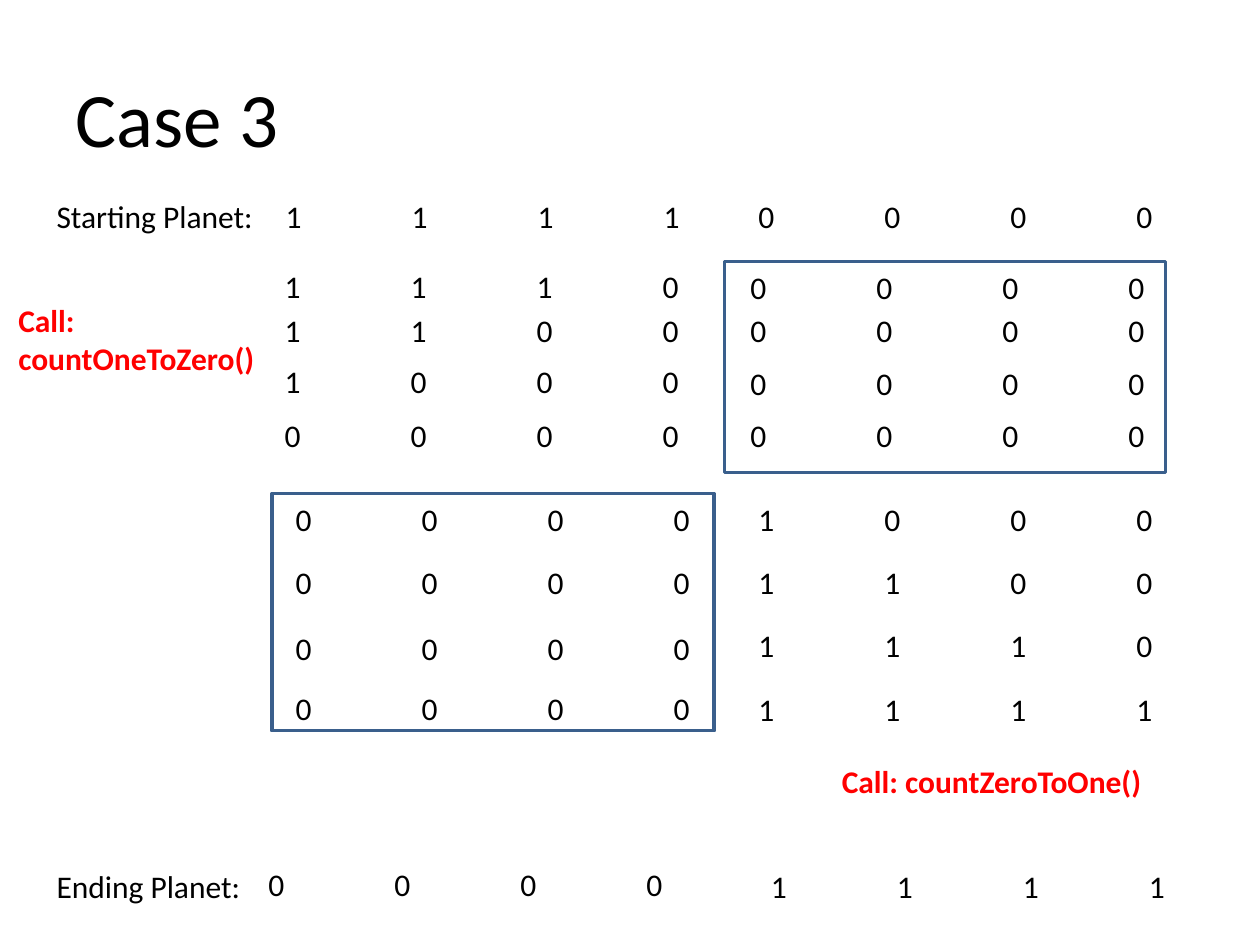
"""Build the Case 3 slide: planet bits changing from start to end."""
from lxml import etree
from pptx import Presentation
from pptx.dml.color import RGBColor
from pptx.enum.shapes import MSO_SHAPE
from pptx.enum.text import MSO_ANCHOR
from pptx.oxml.ns import qn
from pptx.util import Cm, Pt

RECT = MSO_SHAPE.RECTANGLE
TOP, MIDDLE = MSO_ANCHOR.TOP, MSO_ANCHOR.MIDDLE
COLORS = {"text": "000000", "call": "FF0000", "frame": "3A5F8C"}
FONT = "Calibri"
ROW_W, ROW_H = 9.73, 1.02
TAB_STEP = 2.54

TITLE = ("Case 3", 1.27, 0.76, 22.86, 3.18)
LABELS = [
    ("Starting Planet:", 0.89, 3.84, 5.08, ROW_H),
    ("Ending Planet:", 0.89, 17.35, 5.08, ROW_H),
]
CALLS = [
    ("Call: \ncountOneToZero()", 0.12, 5.94, 5.28, 1.8, True),
    ("Call: countZeroToOne()", 16.72, 15.24, 6.6, ROW_H, False),
]
BIT_GROUPS = [
    (5.51, [(3.84, "1111")]),
    (15.04, [(3.84, "0000")]),
    (5.49, [(5.26, "1110"), (6.15, "1100"), (7.17, "1000"), (8.26, "0000")]),
    (14.88, [(5.27, "0000"), (6.15, "0000"), (7.22, "0000"), (8.26, "0000")]),
    (5.71, [(9.96, "0000"), (11.23, "0000"), (12.55, "0000"), (13.77, "0000")]),
    (15.04, [(9.96, "1000"), (11.23, "1100"), (12.5, "1110"), (13.79, "1111")]),
    (5.16, [(17.32, "0000")]),
    (15.29, [(17.35, "1111")]),
]
FRAMES = [(14.61, 5.27, 8.89, 4.26), (5.48, 9.95, 8.92, 4.78)]


def add_text(slide, text, x, y, w, h, size=18, color="text", bold=False,
             anchor=TOP, wrap=True):
    tf = slide.shapes.add_textbox(Cm(x), Cm(y), Cm(w), Cm(h)).text_frame
    tf.word_wrap = wrap
    tf.vertical_anchor = anchor
    tf.text = text
    for p in tf.paragraphs:
        if "\t" in text:
            tabs = etree.SubElement(p._p.get_or_add_pPr(), qn("a:tabLst"))
            for i in range(1, text.count("\t") + 1):
                etree.SubElement(tabs, qn("a:tab"), pos=str(Cm(TAB_STEP * i)), algn="l")
        for r in p.runs:
            r.font.name = FONT
            r.font.size = Pt(size)
            r.font.bold = bold
            r.font.color.rgb = RGBColor.from_string(COLORS[color])


prs = Presentation()
prs.slide_width, prs.slide_height = Cm(25.4), Cm(19.05)
slide = prs.slides.add_slide(prs.slide_layouts[6])

add_text(slide, *TITLE, size=44, anchor=MIDDLE)
for label in LABELS:
    add_text(slide, *label)
for left, rows in BIT_GROUPS:
    for top, bits in rows:
        add_text(slide, "\t".join(bits), left, top, ROW_W, ROW_H)
for frame in FRAMES:
    sp = slide.shapes.add_shape(RECT, *map(Cm, frame))
    sp.shadow.inherit = False
    sp.fill.background()
    sp.line.color.rgb = RGBColor.from_string(COLORS["frame"])
    sp.line.width = Pt(2)
for *call, wrap in CALLS:
    add_text(slide, *call, color="call", bold=True, wrap=wrap)

prs.save("out.pptx")
